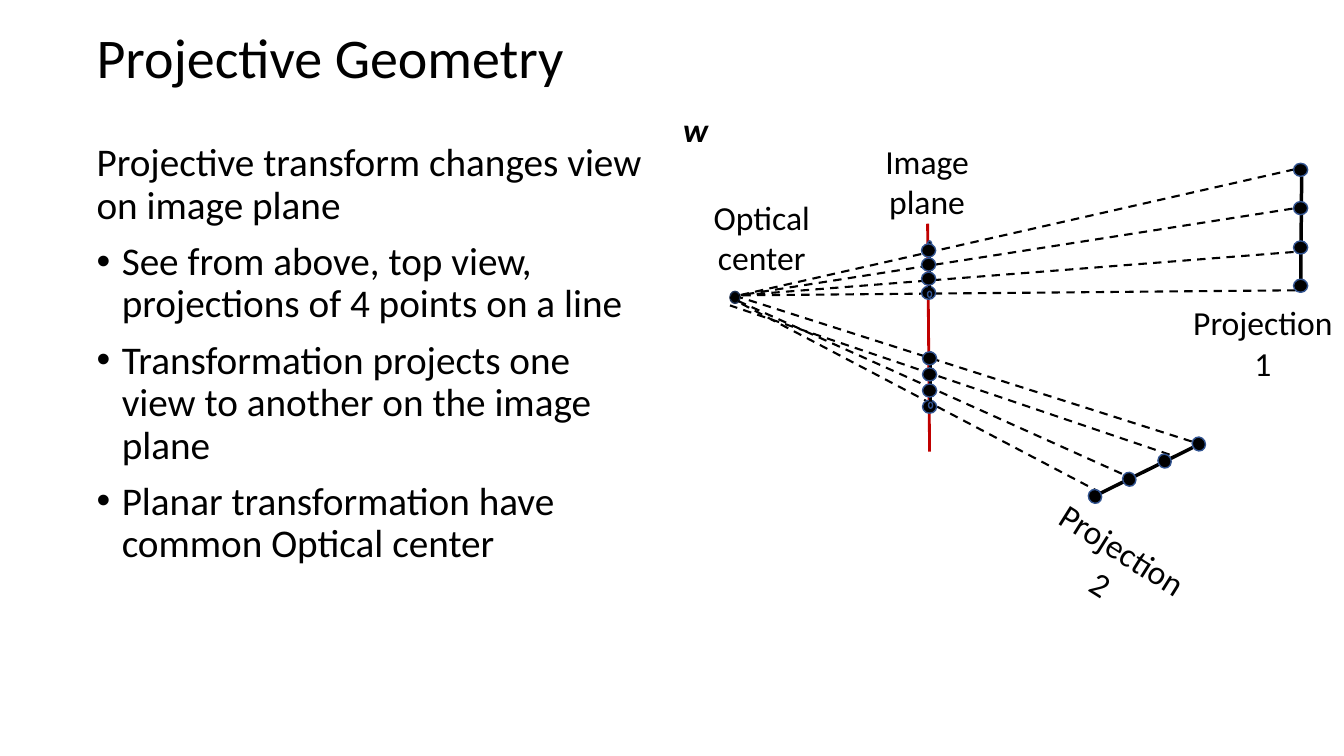
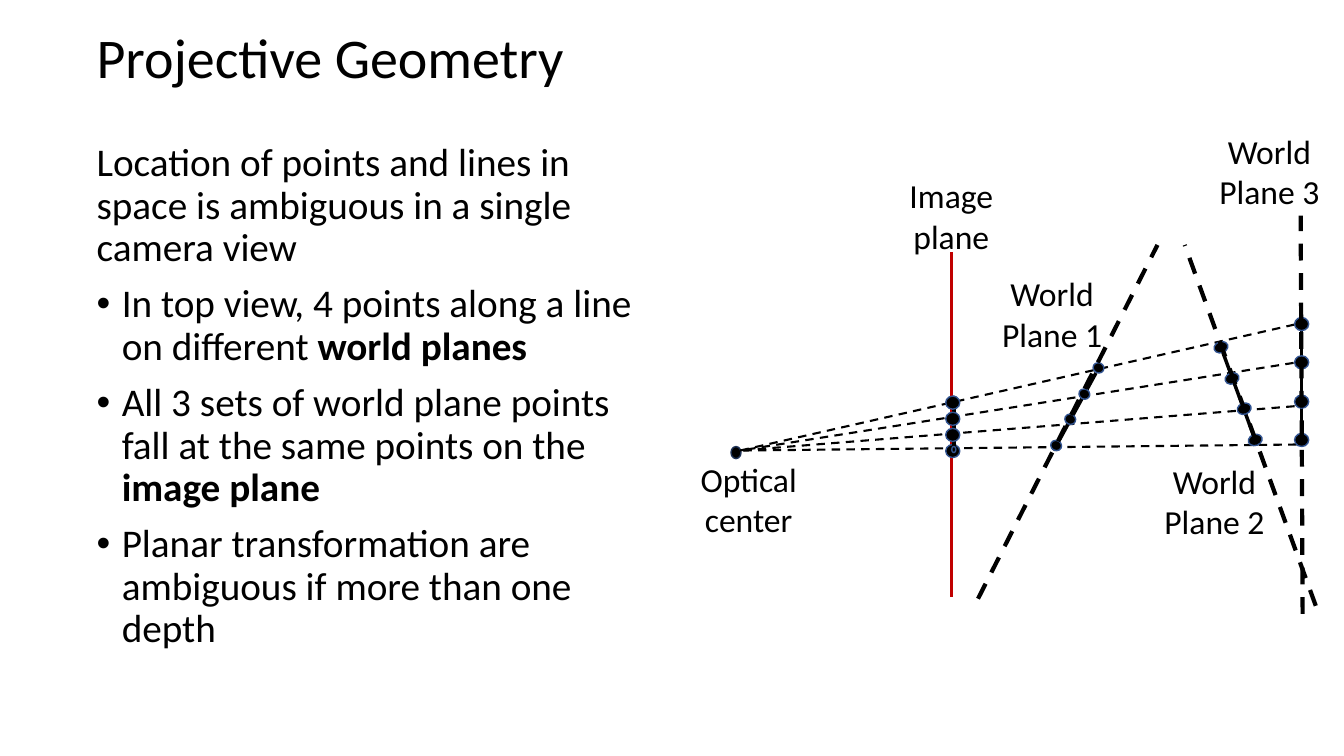
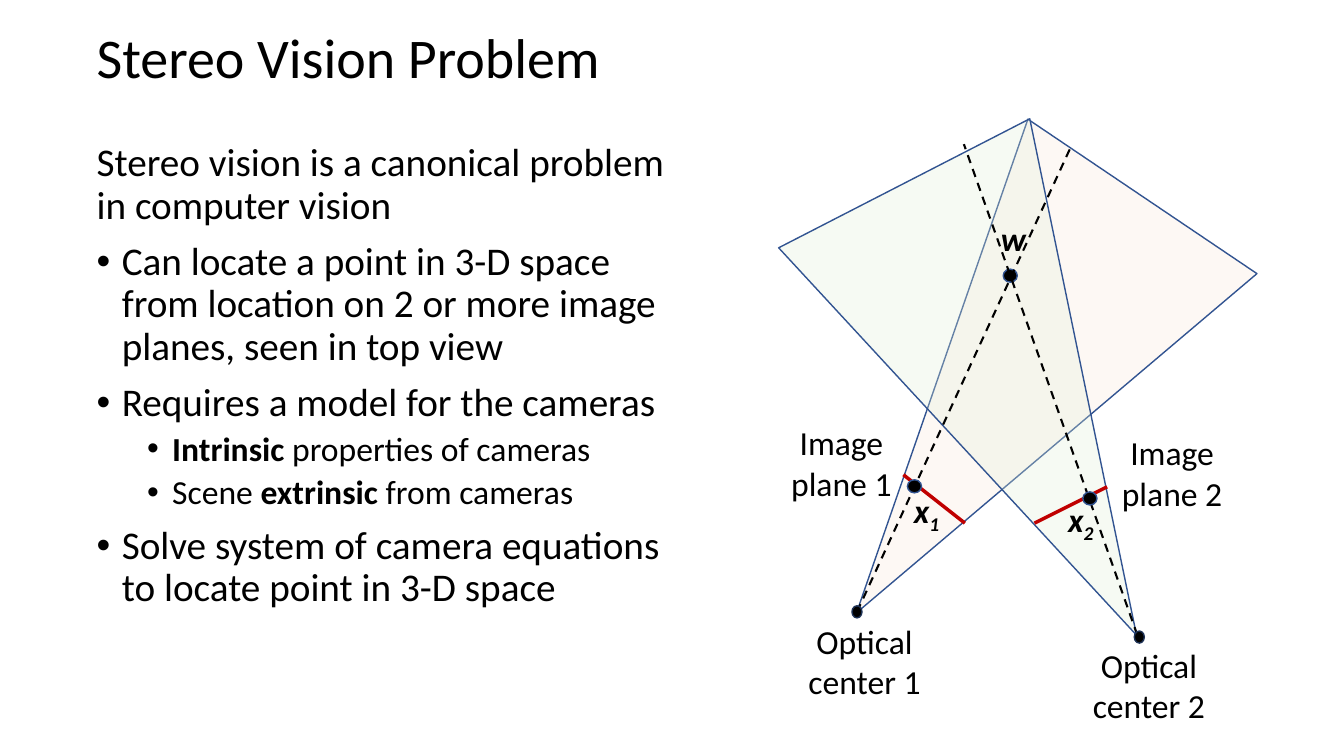
from dataclasses import dataclass
from typing import NamedTuple, Union

from lxml import etree
from pptx import Presentation
from pptx import util as u
from pptx.dml.color import RGBColor
from pptx.enum import dml, shapes, text
from pptx.oxml import ns

PX = 9144
FONT = "Calibri"
COLORS = {
    "ink": "000000",
    "outline": "325491",
    "center_outline": "1E3256",
    "image_plane": "C00000",
    "view_1": "FBE5D6",
    "view_2": "E2F0D9",
}


class Spot(NamedTuple):
    x: int
    y: int


class DotStyle(NamedTuple):
    width: int
    height: int
    rotation: float = 0
    outline: str = "outline"


POINT = DotStyle(14, 13)
TILTED = DotStyle(14, 13, 63.3)
WORLD_1 = DotStyle(11, 10, 28.3)
WORLD_2 = DotStyle(14, 11, 339.9)
TINY = DotStyle(4, 6)
CENTER = DotStyle(10, 12, outline="center_outline")


@dataclass(frozen=True)
class Dots:
    spots: list[Spot]
    style: DotStyle = POINT


@dataclass(frozen=True)
class Line:
    start: Spot
    end: Spot
    weight: float = 2.5
    color: str = "ink"
    dashed: bool = False


@dataclass(frozen=True)
class Label:
    left: int
    top: int
    width: int
    words: str
    rotation: float = 0
    height: int = 91


@dataclass(frozen=True)
class Symbol:
    left: int
    top: int
    letter: str
    index: str = ""


@dataclass(frozen=True)
class View:
    left: int
    top: int
    width: int
    height: int
    rotation: float
    apex: float
    color: str
    opacity: int


@dataclass(frozen=True)
class Statement:
    words: str
    level: int = 0


Item = Union[Dots, Line, Label, Symbol, View]


@dataclass(frozen=True)
class Page:
    title: str
    body_width: int
    statements: list[Statement]
    diagram: list[Item]


def px(length: float) -> int:
    return round(length * PX)


def rgb(name: str) -> RGBColor:
    return RGBColor.from_string(COLORS[name])


def style_font(font, size: float, bold: bool = False, italic: bool = False) -> None:
    font.name = FONT
    font.size = u.Pt(size)
    font.bold = bold
    font.italic = italic
    font.color.rgb = rgb("ink")


def add_frame(slide, left: int, top: int, width: int, height: int, rotation: float = 0):
    box = slide.shapes.add_textbox(px(left), px(top), px(width), px(height))
    box.rotation = rotation
    box.text_frame.word_wrap = True
    return box.text_frame


def draw_dots(slide, dots: Dots) -> None:
    style = dots.style
    for spot in dots.spots:
        dot = slide.shapes.add_shape(
            shapes.MSO_SHAPE.OVAL, px(spot.x), px(spot.y), px(style.width), px(style.height)
        )
        dot.rotation = style.rotation
        dot.shadow.inherit = False
        dot.fill.solid()
        dot.fill.fore_color.rgb = rgb("ink")
        dot.line.color.rgb = rgb(style.outline)
        dot.line.width = u.Pt(1)


def draw_line(slide, line: Line) -> None:
    ray = slide.shapes.add_connector(
        shapes.MSO_CONNECTOR.STRAIGHT,
        px(line.start.x), px(line.start.y), px(line.end.x), px(line.end.y),
    )
    ray.line.color.rgb = rgb(line.color)
    ray.line.width = u.Pt(line.weight)
    if line.dashed:
        ray.line.dash_style = dml.MSO_LINE.DASH
    etree.SubElement(ray._element.spPr, ns.qn("a:effectLst"))


def draw_label(slide, label: Label) -> None:
    frame = add_frame(slide, label.left, label.top, label.width, label.height, label.rotation)
    frame.text = label.words
    for paragraph in frame.paragraphs:
        paragraph.alignment = text.PP_ALIGN.CENTER
        for run in paragraph.runs:
            style_font(run.font, 24)


def draw_symbol(slide, symbol: Symbol) -> None:
    frame = add_frame(slide, symbol.left, symbol.top, 58, 50)
    paragraph = frame.paragraphs[0]
    paragraph.text = symbol.letter
    paragraph.alignment = text.PP_ALIGN.CENTER
    if symbol.index:
        subscript = paragraph.add_run()
        subscript.text = symbol.index
        subscript._r.get_or_add_rPr().set("baseline", "-25000")
    for run in paragraph.runs:
        style_font(run.font, 24, bold=True, italic=True)


def draw_view(slide, view: View) -> None:
    cone = slide.shapes.add_shape(
        shapes.MSO_SHAPE.ISOSCELES_TRIANGLE,
        px(view.left), px(view.top), px(view.width), px(view.height),
    )
    cone.adjustments[0] = view.apex
    cone.rotation = view.rotation
    cone.shadow.inherit = False
    cone.fill.solid()
    cone.fill.fore_color.rgb = rgb(view.color)
    tint = cone._element.spPr.find(f"{ns.qn('a:solidFill')}/{ns.qn('a:srgbClr')}")
    etree.SubElement(tint, ns.qn("a:alpha"), val=str(view.opacity * 1000))
    cone.line.color.rgb = rgb("outline")
    cone.line.width = u.Pt(1)


DRAWERS = {
    Dots: draw_dots,
    Line: draw_line,
    Label: draw_label,
    Symbol: draw_symbol,
    View: draw_view,
}


def draw_title(slide, title: str) -> None:
    frame = add_frame(slide, 86, 12, 1150, 95)
    frame.vertical_anchor = text.MSO_ANCHOR.MIDDLE
    frame.text = title
    heading = frame.paragraphs[0]
    heading.line_spacing = 0.9
    style_font(heading.runs[0].font, 40)


def add_bullet(paragraph, level: int) -> None:
    properties = paragraph._p.get_or_add_pPr()
    properties.set("marL", str(px(25 + 50 * level)))
    properties.set("indent", str(px(-25)))
    etree.SubElement(properties, ns.qn("a:buFont"), typeface="Arial")
    etree.SubElement(properties, ns.qn("a:buChar"), char="•")


def draw_body(slide, width: int, statements: list[Statement]) -> None:
    frame = add_frame(slide, 86, 137, width, 569)
    for number, statement in enumerate(statements):
        paragraph = frame.add_paragraph() if number else frame.paragraphs[0]
        if number:
            add_bullet(paragraph, statement.level)
            paragraph.level = statement.level
            paragraph.space_before = u.Pt(5 if statement.level else 10)
        paragraph.line_spacing = 0.9
        for part, words in enumerate(statement.words.split("**")):
            if words:
                run = paragraph.add_run()
                run.text = words
                style_font(run.font, 24 if statement.level else 28, bold=part % 2 == 1)


def spread(start: Spot, end: Spot, count: int = 4) -> list[Spot]:
    return [
        Spot(
            round(start.x + (end.x - start.x) * step / (count - 1)),
            round(start.y + (end.y - start.y) * step / (count - 1)),
        )
        for step in range(count)
    ]


def projected_points(start: Spot, end: Spot, style: DotStyle, line: Line) -> list[Item]:
    return [line, Dots(spread(start, end), style)]


def image_points(left: int, top: int, bottom: int, core_top: int) -> list[Item]:
    big = spread(Spot(left, top), Spot(left, bottom))
    core = spread(Spot(left + 6, core_top), Spot(left + 6, core_top + 50))
    axis = Line(Spot(left + 8, core_top + 6), Spot(left + 8, core_top + 56))
    return [Dots(big[3:]), axis, Dots(core, TINY), Dots(big[:3])]


def ray(start: Spot, end: Spot) -> Line:
    return Line(start, end, 1.5, dashed=True)


def world_plane(start: Spot, end: Spot) -> Line:
    return Line(start, end, 3, dashed=True)


def rays_to(center: Spot, *starts: Spot) -> list[Item]:
    return [ray(start, center) for start in starts]


PROJECTION_PAGE = Page(
    "Projective Geometry",
    563,
    [
        Statement("Projective transform changes view on image plane"),
        Statement("See from above, top view, projections of 4 points on a line"),
        Statement("Transformation projects one view to another on the image plane"),
        Statement("Planar transformation have common Optical center"),
    ],
    [
        Symbol(661, 103, "w"),
        Label(670, 190, 171, "Optical center"),
        Dots([Spot(724, 289)], CENTER),
        *rays_to(Spot(733, 293), Spot(1284, 168), Spot(1282, 207), Spot(1283, 250), Spot(1285, 288)),
        *projected_points(
            Spot(1283, 162), Spot(1283, 277), POINT, Line(Spot(1291, 175), Spot(1290, 290))
        ),
        Label(1173, 295, 159, "Projection 1"),
        ray(Spot(1182, 438), Spot(734, 295)),
        ray(Spot(1092, 489), Spot(733, 300)),
        ray(Spot(1160, 451), Spot(724, 303)),
        ray(Spot(1126, 476), Spot(724, 295)),
        Line(Spot(922, 448), Spot(920, 222), 2, "image_plane"),
        *image_points(915, 349, 397, 349),
        *image_points(914, 242, 284, 239),
        Label(865, 135, 109, "Image plane"),
        Label(1023, 517, 159, "Projection 2", 32.2),
        *projected_points(
            Spot(1182, 434), Spot(1079, 486), TILTED, Line(Spot(1183, 444), Spot(1080, 495))
        ),
    ],
)

AMBIGUITY_PAGE = Page(
    "Projective Geometry",
    563,
    [
        Statement("Location of points and lines in space is ambiguous in a single camera view"),
        Statement("In top view, 4 points along a line on different **world planes**"),
        Statement("All 3 sets of world plane points fall at the same points on the **image plane**"),
        Statement("Planar transformation are ambiguous if more than one depth"),
    ],
    [
        Line(Spot(944, 592), Spot(944, 250), 2, "image_plane"),
        Label(889, 169, 109, "Image plane"),
        Label(983, 266, 121, "World\nPlane 1"),
        Label(657, 450, 171, "Optical center"),
        Dots([Spot(725, 443)], CENTER),
        *rays_to(Spot(734, 447), Spot(1284, 322), Spot(1283, 360), Spot(1284, 403), Spot(1286, 441)),
        *projected_points(
            Spot(1284, 315), Spot(1284, 430), POINT, Line(Spot(1291, 328), Spot(1291, 443))
        ),
        *projected_points(
            Spot(1204, 339), Spot(1238, 431), WORLD_2, Line(Spot(1213, 350), Spot(1247, 442))
        ),
        *projected_points(
            Spot(1084, 360), Spot(1042, 437), WORLD_1, Line(Spot(1087, 370), Spot(1045, 447))
        ),
        *image_points(938, 393, 441, 393),
        world_plane(Spot(970, 594), Spot(1148, 243)),
        world_plane(Spot(1305, 601), Spot(1175, 243)),
        world_plane(Spot(1292, 609), Spot(1290, 214)),
        Label(1119, 452, 171, "World\nPlane 2"),
        Label(1188, 125, 142, "World\nPlane 3"),
    ],
)

STEREO_PAGE = Page(
    "Stereo Vision Problem",
    601,
    [
        Statement("Stereo vision is a canonical problem in computer vision"),
        Statement(
            "Can locate a point in 3-D space from location on 2 or more image planes, seen in top view"
        ),
        Statement("Requires a model for the cameras"),
        Statement("**Intrinsic** properties of cameras", 1),
        Statement("Scene **extrinsic** from cameras", 1),
        Statement("Solve system of camera equations to locate point in 3-D space"),
    ],
    [
        View(856, 152, 274, 501, 214, 0.515, "view_1", 25),
        View(872, 154, 280, 504, 152.8, 0.5, "view_2", 29),
        Dots([Spot(995, 267)]),
        Symbol(976, 211, "w"),
        Line(Spot(896, 471), Spot(957, 519), color="image_plane"),
        Line(Spot(1026, 519), Spot(1098, 483), color="image_plane"),
        ray(Spot(850, 607), Spot(1062, 146)),
        ray(Spot(1128, 630), Spot(956, 143)),
        Dots([Spot(900, 476), Spot(1074, 488)]),
        Symbol(890, 481, "x", "1"),
        Symbol(1043, 490, "x", "2"),
        Label(1077, 424, 171, "Image plane 2"),
        Label(749, 414, 171, "Image plane 1"),
        Label(1054, 635, 171, "Optical center 2"),
        Label(772, 611, 171, "Optical center 1"),
        Dots([Spot(845, 601), Spot(1125, 626)], CENTER),
    ],
)


def main() -> None:
    deck = Presentation()
    deck.slide_width = px(1333)
    deck.slide_height = px(750)
    for page in (PROJECTION_PAGE, AMBIGUITY_PAGE, STEREO_PAGE):
        slide = deck.slides.add_slide(deck.slide_layouts[6])
        draw_title(slide, page.title)
        draw_body(slide, page.body_width, page.statements)
        for item in page.diagram:
            DRAWERS[type(item)](slide, item)
    deck.save("out.pptx")


if __name__ == "__main__":
    main()
